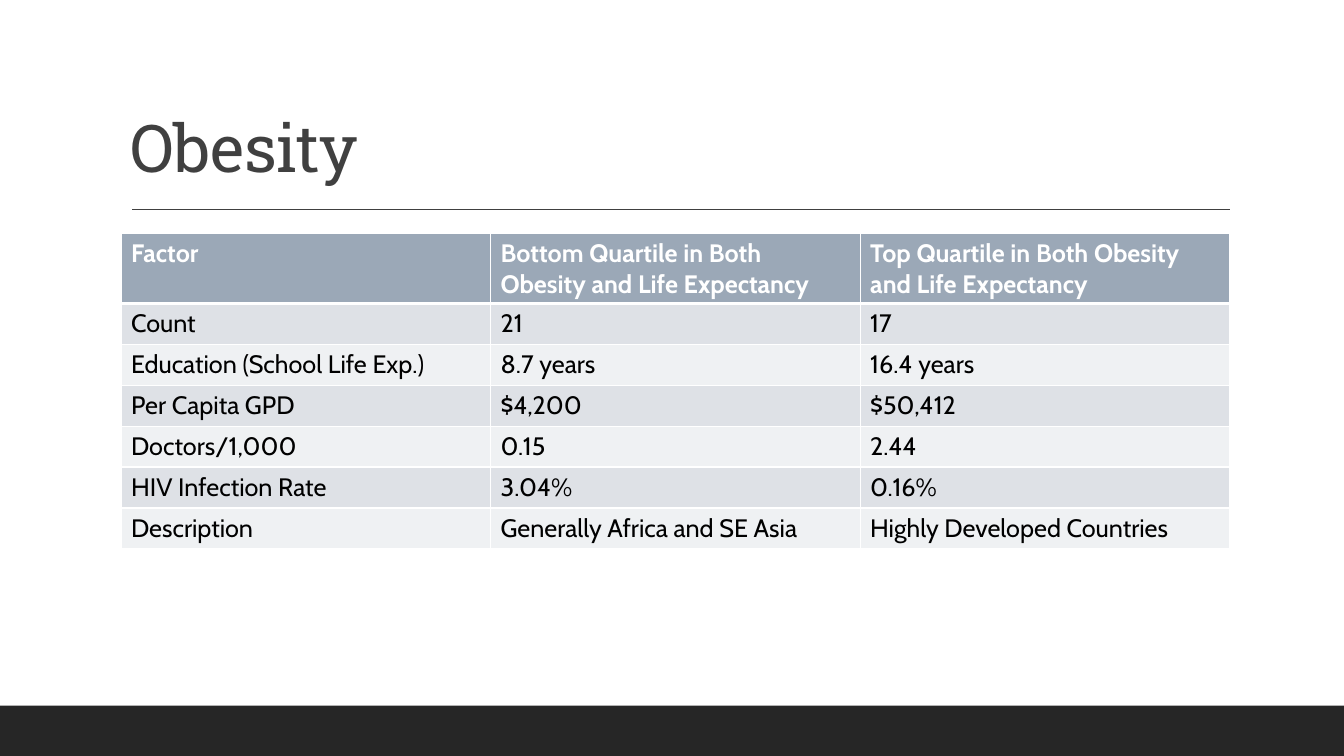
"""Builds the Obesity slide: a title, a rule, a table of factors and a dark footer bar."""
from lxml import etree
from pptx import Presentation
from pptx.dml.color import RGBColor
from pptx.enum.shapes import MSO_CONNECTOR, MSO_SHAPE
from pptx.enum.text import MSO_ANCHOR
from pptx.oxml.ns import qn
from pptx.util import Cm, Pt

RECT = MSO_SHAPE.RECTANGLE
LINE = MSO_CONNECTOR.STRAIGHT
BOTTOM = MSO_ANCHOR.BOTTOM
WHITE, BLACK, GREY, DARK = "FFFFFF", "000000", "404040", "262626"
HEAD, BANDS = "9BA8B7", ("EFF1F3", "DEE1E6")
LEFT, WIDTH = 3.05, 27.94
ROWS = [
    ("Factor", "Bottom Quartile in Both Obesity and Life Expectancy",
     "Top Quartile in Both Obesity and Life Expectancy"),
    ("Count", "21", "17"),
    ("Education (School Life Exp.)", "8.7 years", "16.4 years"),
    ("Per Capita GPD", "$4,200", "$50,412"),
    ("Doctors/1,000", "0.15", "2.44"),
    ("HIV Infection Rate", "3.04%", "0.16%"),
    ("Description", "Generally Africa and SE Asia", "Highly Developed Countries"),
]


def color(code):
    return RGBColor.from_string(code)


def style(run, face, size, code, bold=False):
    font = run.font
    font.name, font.size, font.bold = face, Pt(size), bold
    font.color.rgb = color(code)


deck = Presentation()
deck.slide_width, deck.slide_height = Cm(33.87), Cm(19.05)
slide = deck.slides.add_slide(deck.slide_layouts[6])
shapes = slide.shapes

bar = shapes.add_shape(RECT, 0, Cm(17.78), deck.slide_width, Cm(1.27))
bar.shadow.inherit = False
bar.fill.solid()
bar.fill.fore_color.rgb = color(DARK)
bar.line.fill.background()

rule = shapes.add_connector(LINE, Cm(3.33), Cm(5.28), Cm(31), Cm(5.28))
rule.line.color.rgb = color(GREY)
rule.line.width = Pt(1)
etree.SubElement(rule._element.spPr, qn("a:effectLst"))

title = shapes.add_textbox(Cm(LEFT), Cm(0.79), Cm(WIDTH), Cm(4.04)).text_frame
title.word_wrap = True
title.vertical_anchor = BOTTOM
title.text = "Obesity"
para = title.paragraphs[0]
para.line_spacing = 0.9
style(para.runs[0], "Roboto Slab", 47, GREY)
para.runs[0].font._element.set("spc", "-50")

table = shapes.add_table(len(ROWS), 3, Cm(LEFT), Cm(5.87), Cm(WIDTH), Cm(7.96)).table
for col in table.columns:
    col.width = Cm(WIDTH / 3)

for r, texts in enumerate(ROWS):
    top = r == 0
    table.rows[r].height = Cm(1.78 if top else 1.03)
    for c, text in enumerate(texts):
        cell = table.cell(r, c)
        cell.text = text
        run = cell.text_frame.paragraphs[0].runs[0]
        style(run, "Cabin", 18, WHITE if top else BLACK, top)
        props = cell._tc.get_or_add_tcPr()
        for side in ("lnL", "lnR", "lnT", "lnB"):
            thick = (top and side == "lnB") or (r == 1 and side == "lnT")
            edge = etree.SubElement(props, qn("a:" + side), w=str(Pt(3 if thick else 1)))
            paint = etree.SubElement(edge, qn("a:solidFill"))
            etree.SubElement(paint, qn("a:srgbClr"), val=WHITE)
        cell.fill.solid()
        cell.fill.fore_color.rgb = color(HEAD if top else BANDS[r % 2])

deck.save("out.pptx")
